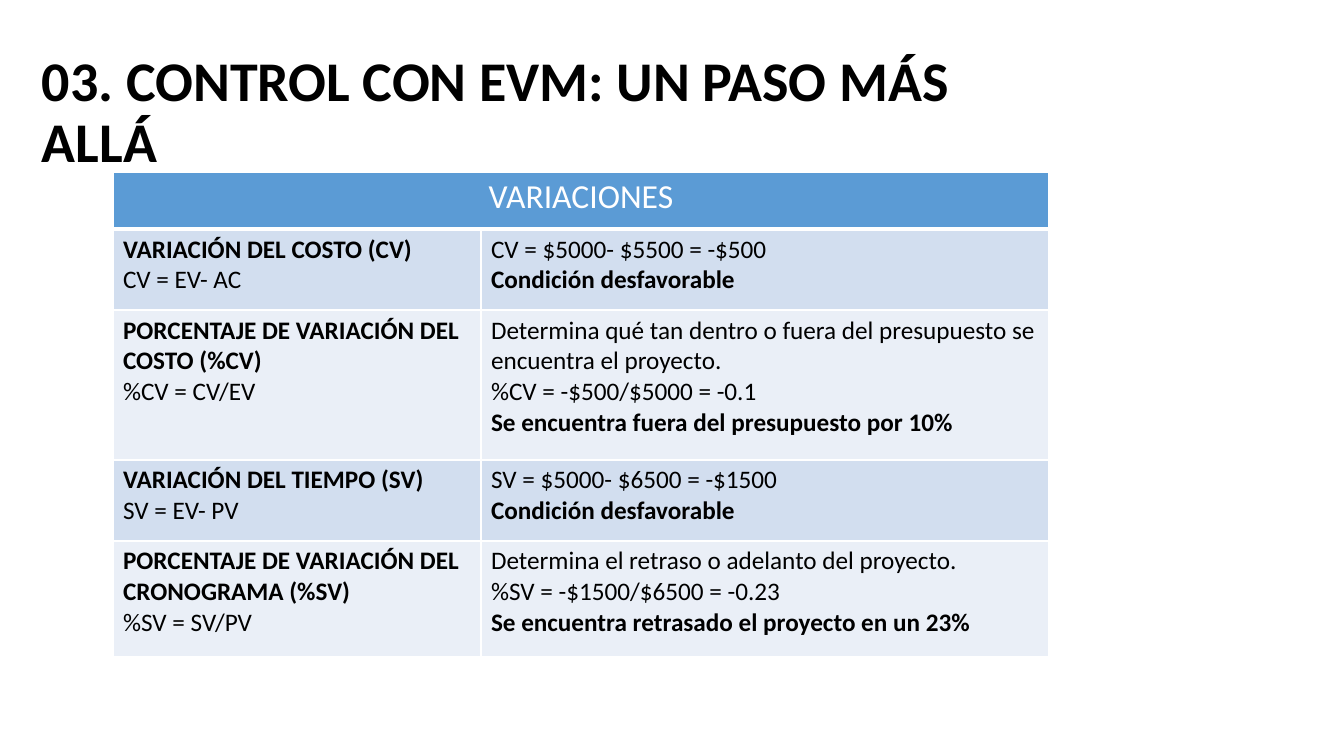
from lxml import etree
from pptx import Presentation
from pptx import util as u
from pptx.dml.color import RGBColor
from pptx.enum import text
from pptx.oxml import ns

PX = 12192000 / 1344  # EMU in one px

COLORS = {
    "white": "FFFFFF",
    "black": "000000",
    "header": "5B9BD5",
    "odd_row": "D2DEEF",
    "even_row": "EAEFF7",
}

FORMATS = {
    "title": {"name": "Calibri", "size": u.Pt(40), "bold": True},
    "header": {"name": "Calibri", "size": u.Pt(24), "bold": False},
    "plain": {"name": "Calibri", "size": u.Pt(18), "bold": False},
    "strong": {"name": "Calibri", "size": u.Pt(18), "bold": True},
}

TITLE = "03. CONTROL CON EVM: UN PASO MÁS ALLÁ"
HEADER = "VARIACIONES"
COLUMN_WIDTHS = [368, 568]
ROW_HEIGHTS = [57, 81, 150, 81, 116]

# Each row: name and formula, then explanation, calculation and conclusion
VARIATIONS = [
    (["VARIACIÓN DEL COSTO (CV)", "CV = EV- AC"],
     ["CV = $5000- $5500 = -$500", "Condición desfavorable"]),
    (["PORCENTAJE DE VARIACIÓN DEL COSTO (%CV)", "%CV = CV/EV"],
     ["Determina qué tan dentro o fuera del presupuesto se encuentra el proyecto.",
      "%CV = -$500/$5000 = -0.1",
      "Se encuentra fuera del presupuesto por 10%"]),
    (["VARIACIÓN DEL TIEMPO (SV)", "SV = EV- PV"],
     ["SV = $5000- $6500 = -$1500", "Condición desfavorable"]),
    (["PORCENTAJE DE VARIACIÓN DEL CRONOGRAMA (%SV)", "%SV = SV/PV"],
     ["Determina el retraso o adelanto del proyecto.",
      "%SV = -$1500/$6500 = -0.23",
      "Se encuentra retrasado el proyecto en un 23%"]),
]


def px(length):
    return u.Emu(round(length * PX))


def rgb(color):
    return RGBColor.from_string(COLORS[color])


def write_line(paragraph, words, style, color):
    run = paragraph.add_run()
    run.text = words
    for name, value in FORMATS[style].items():
        setattr(run.font, name, value)
    run.font.color.rgb = rgb(color)


def write_lines(cell, lines, strong_index):
    frame = cell.text_frame
    for index, words in enumerate(lines):
        paragraph = frame.add_paragraph() if index else frame.paragraphs[0]
        style = "strong" if index == strong_index else "plain"
        write_line(paragraph, words, style, "black")


def paint_cell(cell, fill, top=1, bottom=1):
    cell.fill.solid()
    cell.fill.fore_color.rgb = rgb(fill)
    # Borders come before the fill in the cell properties
    properties = cell._tc.get_or_add_tcPr()
    widths = {"lnL": 1, "lnR": 1, "lnT": top, "lnB": bottom}
    for index, (side, width) in enumerate(widths.items()):
        line = etree.Element(ns.qn("a:" + side), w=str(u.Pt(width)))
        solid = etree.SubElement(line, ns.qn("a:solidFill"))
        etree.SubElement(solid, ns.qn("a:srgbClr"), val=COLORS["white"])
        properties.insert(index, line)


def add_variations_table(slide, left, top):
    frame = slide.shapes.add_table(
        len(ROW_HEIGHTS), len(COLUMN_WIDTHS), px(left), px(top),
        px(sum(COLUMN_WIDTHS)), px(sum(ROW_HEIGHTS)))
    table = frame.table
    for column, width in zip(table.columns, COLUMN_WIDTHS):
        column.width = px(width)
    for row, height in zip(table.rows, ROW_HEIGHTS):
        row.height = px(height)

    # Header across both columns
    header = table.cell(0, 0)
    header.merge(table.cell(0, 1))
    for cell in table.rows[0].cells:
        paint_cell(cell, "header", bottom=3)
    paragraph = header.text_frame.paragraphs[0]
    paragraph.alignment = text.PP_ALIGN.CENTER
    write_line(paragraph, HEADER, "header", "white")

    # Banded rows
    for index, (formula, result) in enumerate(VARIATIONS, start=1):
        left_cell, right_cell = table.cell(index, 0), table.cell(index, 1)
        for cell in (left_cell, right_cell):
            paint_cell(cell, "odd_row" if index % 2 else "even_row",
                       top=3 if index == 1 else 1)
        write_lines(left_cell, formula, 0)
        write_lines(right_cell, result, len(result) - 1)


def add_title(slide, left, top, width, height):
    shape = slide.shapes.add_textbox(px(left), px(top), px(width), px(height))
    frame = shape.text_frame
    frame.word_wrap = True
    frame.vertical_anchor = text.MSO_ANCHOR.MIDDLE
    paragraph = frame.paragraphs[0]
    paragraph.line_spacing = 0.9
    write_line(paragraph, TITLE, "title", "black")


def main():
    presentation = Presentation()
    presentation.slide_width, presentation.slide_height = px(1344), px(756)
    slide = presentation.slides.add_slide(presentation.slide_layouts[6])
    add_variations_table(slide, 113, 172)
    add_title(slide, 32, 41, 1047, 146)
    presentation.save("out.pptx")


if __name__ == "__main__":
    main()
